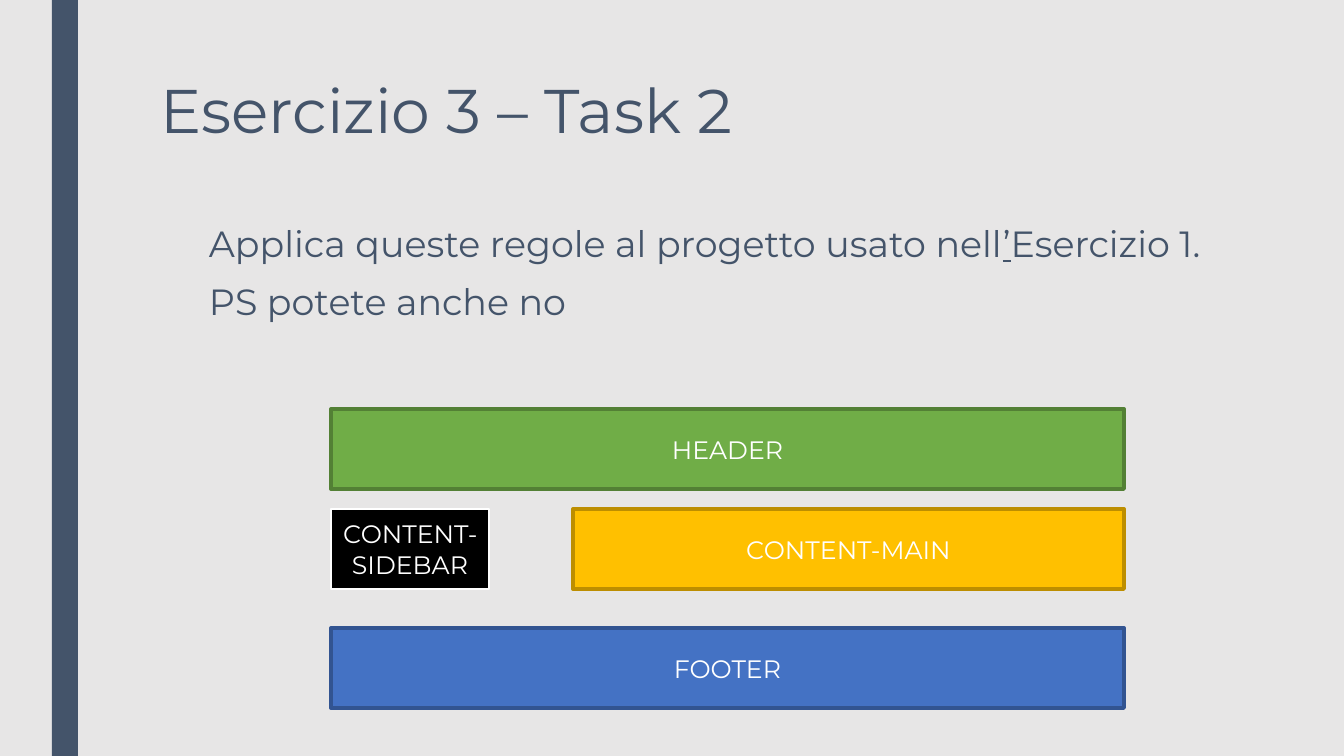
from pptx import Presentation
from pptx.dml.color import RGBColor
from pptx.enum.shapes import MSO_SHAPE as SHAPE
from pptx.enum.text import MSO_ANCHOR as ANCHOR, PP_ALIGN as ALIGN
from pptx.util import Pt

PX = 914400 / 100.8
WIDTH, HEIGHT = 1344, 756
FONT = "Montserrat"
SLATE, WHITE, BACKGROUND = "44546A", "FFFFFF", "E7E6E6"

TITLE = [[("Esercizio 3 – Task 2", False)]]
BODY = [
    [("Applica queste regole al progetto usato nell", False), ("’", True), ("Esercizio 1.", False)],
    [("PS potete anche no", False)],
]

LEFT, RIGHT, BLOCK_H = 331, 1124, 80
BLOCKS = [
    ("HEADER", LEFT, RIGHT, 409, "70AD47", "538035", 2.75),
    ("CONTENT-SIDEBAR", LEFT, 489, 509, "000000", WHITE, 1.5),
    ("FOOTER", LEFT, RIGHT, 628, "4472C4", "325491", 2.75),
    ("CONTENT-MAIN", 573, RIGHT, 509, "FFC000", "BD8E00", 2.75),
]


def rgb(value):
    return RGBColor.from_string(value)


def emu(*lengths):
    return [round(n * PX) for n in lengths]


def set_font(p, size, color):
    p.font.name = FONT
    p.font.size = Pt(size)
    p.font.color.rgb = rgb(color)


def add_rect(box, fill):
    sp = slide.shapes.add_shape(SHAPE.RECTANGLE, *emu(*box))
    sp.shadow.inherit = False
    sp.fill.solid()
    sp.fill.fore_color.rgb = rgb(fill)
    sp.line.fill.background()
    return sp


def add_text(box, paragraphs, size, spacing, before=0, after=0):
    tf = slide.shapes.add_textbox(*emu(*box)).text_frame
    tf.word_wrap = True
    for i, runs in enumerate(paragraphs):
        p = tf.add_paragraph() if i else tf.paragraphs[0]
        p.line_spacing = spacing
        p.space_before = Pt(before if i else 0)
        p.space_after = Pt(after)
        set_font(p, size, SLATE)
        for text, underlined in runs:
            r = p.add_run()
            r.text = text
            if underlined:
                r.font.underline = True


prs = Presentation()
prs.slide_width, prs.slide_height = emu(WIDTH, HEIGHT)
slide = prs.slides.add_slide(prs.slide_layouts[6])
slide.background.fill.solid()
slide.background.fill.fore_color.rgb = rgb(BACKGROUND)

add_rect((52, 0, 26, HEIGHT), SLATE)
add_text((151, 76, 1193, 163), TITLE, 44, 0.89)
add_text((199, 220, 1117, 536), BODY, 26, 0.94, before=10, after=2)

for label, left, right, top, fill, border, weight in BLOCKS:
    sp = add_rect((left, top, right - left, BLOCK_H), fill)
    sp.line.color.rgb = rgb(border)
    sp.line.width = Pt(weight)
    tf = sp.text_frame
    tf.word_wrap = True
    tf.vertical_anchor = ANCHOR.MIDDLE
    p = tf.paragraphs[0]
    p.text = label
    p.alignment = ALIGN.CENTER
    set_font(p, 18, WHITE)

prs.save("out.pptx")
